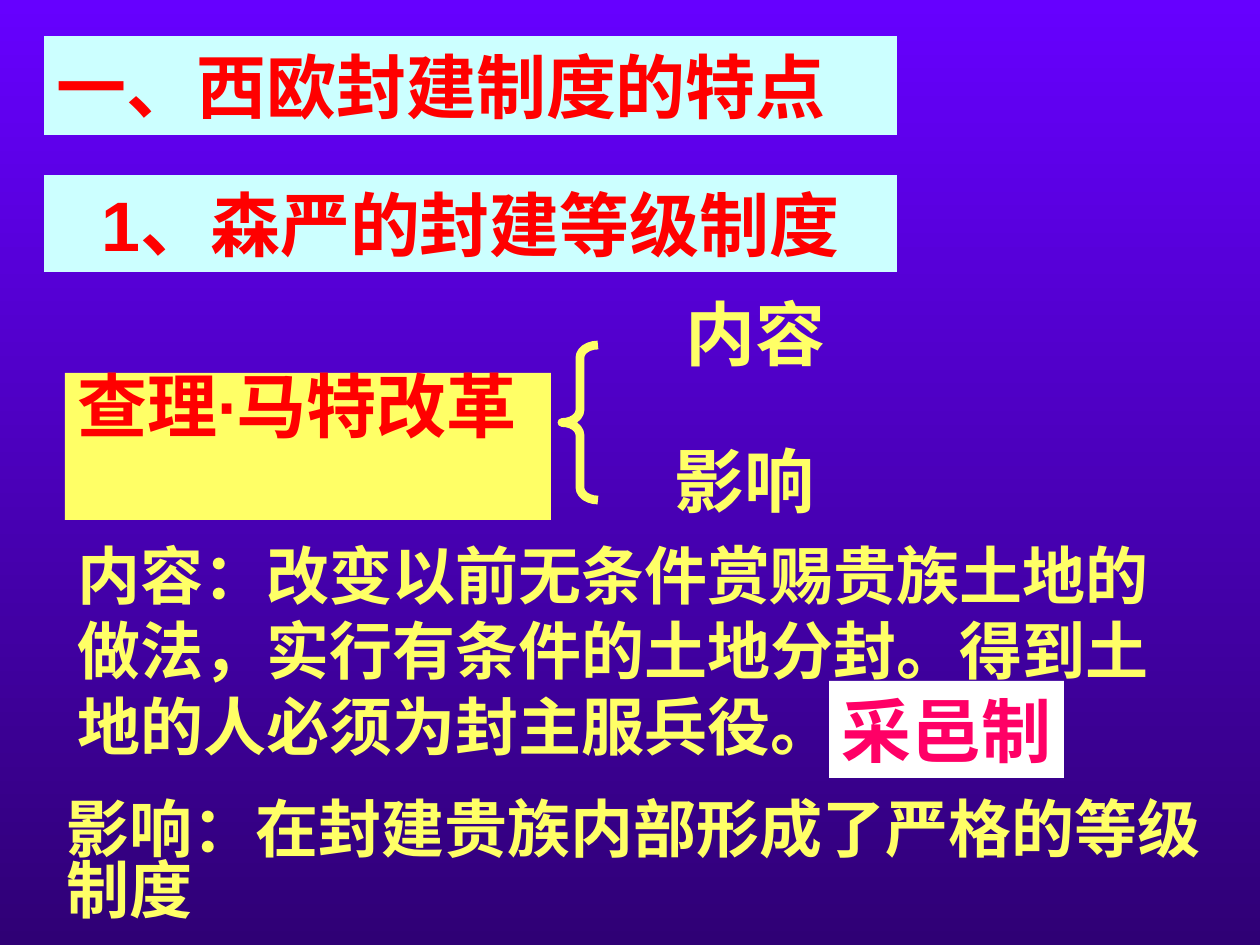
from pptx import Presentation
from pptx.dml.color import RGBColor
from pptx.enum.lang import MSO_LANGUAGE_ID
from pptx.enum.shapes import MSO_SHAPE
from pptx.enum.text import MSO_ANCHOR, MSO_AUTO_SIZE, PP_ALIGN
from pptx.util import Emu, Inches, Pt

PX = Inches(1) / 126
COLORS = {
    "sky": "6600FF",
    "night": "2F0075",
    "pale": "CCFFFF",
    "yellow": "FFFF66",
    "white": "FFFFFF",
    "red": "FF0000",
    "pink": "FF0066",
}


def px(length):
    return Emu(round(length * PX))


def color(name):
    return RGBColor.from_string(COLORS[name])


def write(shape, text, *, ink, size=40, font="Arial", align=PP_ALIGN.LEFT,
          anchor=MSO_ANCHOR.TOP, wrap=True, line_spacing=1.0, before=0):
    frame = shape.text_frame
    frame.auto_size = MSO_AUTO_SIZE.NONE
    frame.word_wrap = wrap
    frame.vertical_anchor = anchor
    frame.margin_left = frame.margin_right = Inches(0.1)
    frame.margin_top = frame.margin_bottom = Inches(0.05)
    paragraph = frame.paragraphs[0]
    paragraph.alignment = align
    paragraph.line_spacing = line_spacing
    paragraph.space_before = Pt(before)
    run = paragraph.add_run()
    run.text = text
    run.font.name = font
    run.font.size = Pt(size)
    run.font.bold = True
    run.font.color.rgb = color(ink)
    run.font.language_id = MSO_LANGUAGE_ID.SIMPLIFIED_CHINESE


class SlideBuilder:
    def __init__(self, presentation):
        self.slide = presentation.slides.add_slide(presentation.slide_layouts[5])

    def background(self, top, bottom):
        fill = self.slide.background.fill
        fill.gradient()
        fill.gradient_angle = 270
        for stop, name in zip(fill.gradient_stops, (top, bottom)):
            stop.color.rgb = color(name)

    def title(self, box, text, fill, **style):
        title = self.slide.shapes.title
        title.left, title.top, title.width, title.height = map(px, box)
        title.fill.solid()
        title.fill.fore_color.rgb = color(fill)
        write(title, text, anchor=MSO_ANCHOR.MIDDLE, **style)

    def panel(self, box, text, fill, **style):
        """Add a filled rectangle with text."""
        shape = self.slide.shapes.add_shape(MSO_SHAPE.RECTANGLE, *map(px, box))
        shape.shadow.inherit = False
        shape.fill.solid()
        shape.fill.fore_color.rgb = color(fill)
        shape.line.fill.background()
        write(shape, text, **style)

    def label(self, box, text, **style):
        write(self.slide.shapes.add_textbox(*map(px, box)), text, **style)

    def brace(self, box, ink, weight):
        shape = self.slide.shapes.add_shape(MSO_SHAPE.LEFT_BRACE, *map(px, box))
        shape.shadow.inherit = False
        shape.adjustments[0] = 0.35
        shape.fill.background()
        shape.line.color.rgb = color(ink)
        shape.line.width = Pt(weight)


def main():
    presentation = Presentation()
    presentation.slide_width = px(1260)
    presentation.slide_height = px(945)
    builder = SlideBuilder(presentation)
    center = PP_ALIGN.CENTER
    body = {"ink": "yellow", "size": 36, "font": "Arial Narrow", "before": 22.5}

    builder.background("sky", "night")
    builder.title((44, 36, 853, 99), "一、西欧封建制度的特点", "pale", ink="red")
    builder.panel((44, 175, 853, 97), "1、森严的封建等级制度", "pale",
                  ink="red", align=center)
    builder.panel((65, 373, 486, 147), "查理·马特改革", "yellow", ink="red",
                  font="Arial Narrow", line_spacing=0.8, before=25)
    builder.brace((562, 345, 36, 155), "yellow", 5)
    builder.label((673, 284, 165, 97), "内容", ink="yellow", align=center, wrap=False)
    builder.label((650, 431, 189, 97), "影响", ink="yellow", align=center)
    builder.label((65, 530, 1121, 240),
                  "内容：改变以前无条件赏赐贵族土地的做法，实行有条件的土地分封。"
                  "得到土地的人必须为封主服兵役。", **body)
    builder.label((54, 798, 1176, 133),
                  "影响：在封建贵族内部形成了严格的等级制度", line_spacing=0.8, **body)
    builder.panel((829, 681, 235, 97), "采邑制", "white", ink="pink", wrap=False)
    presentation.save("out.pptx")


if __name__ == "__main__":
    main()
